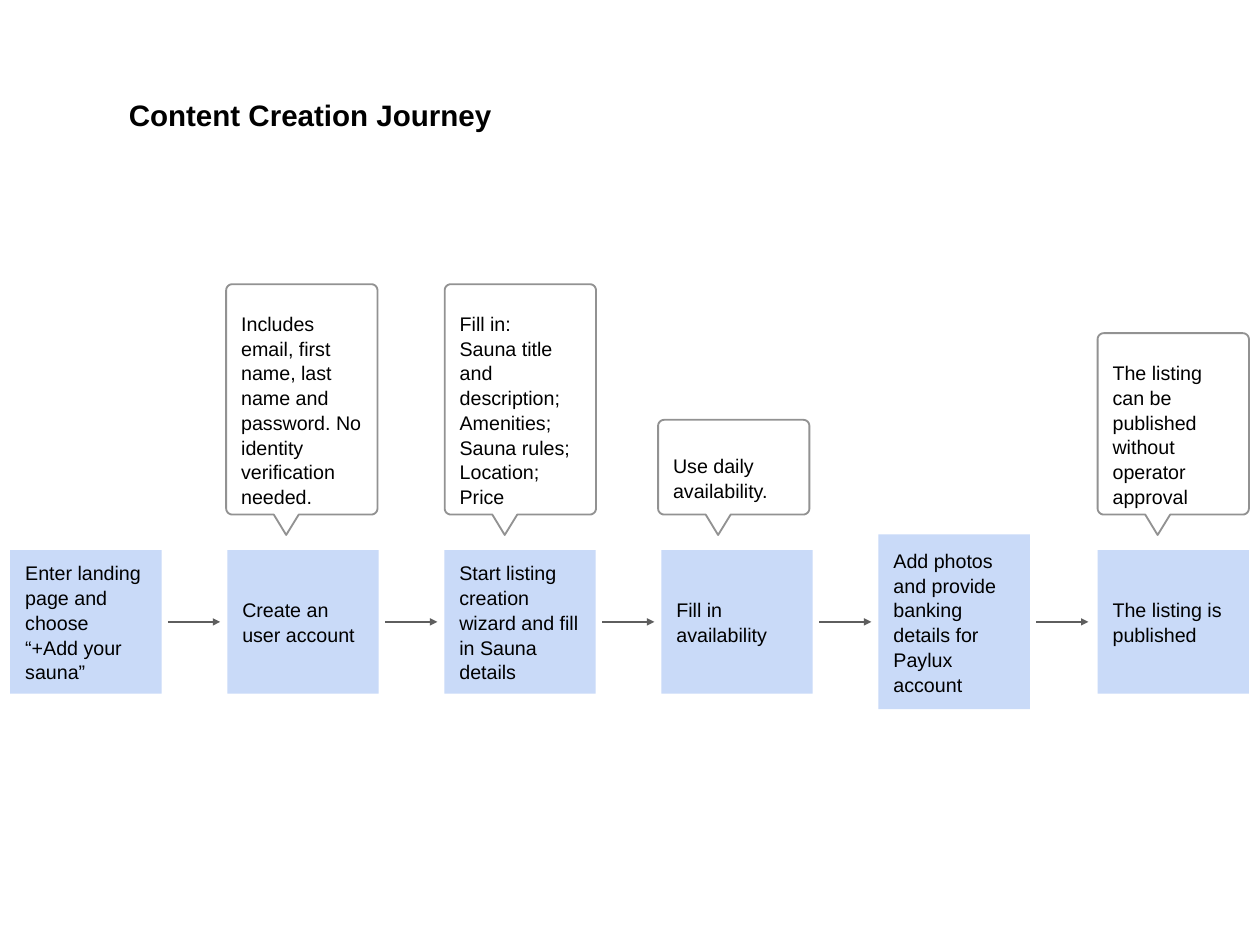
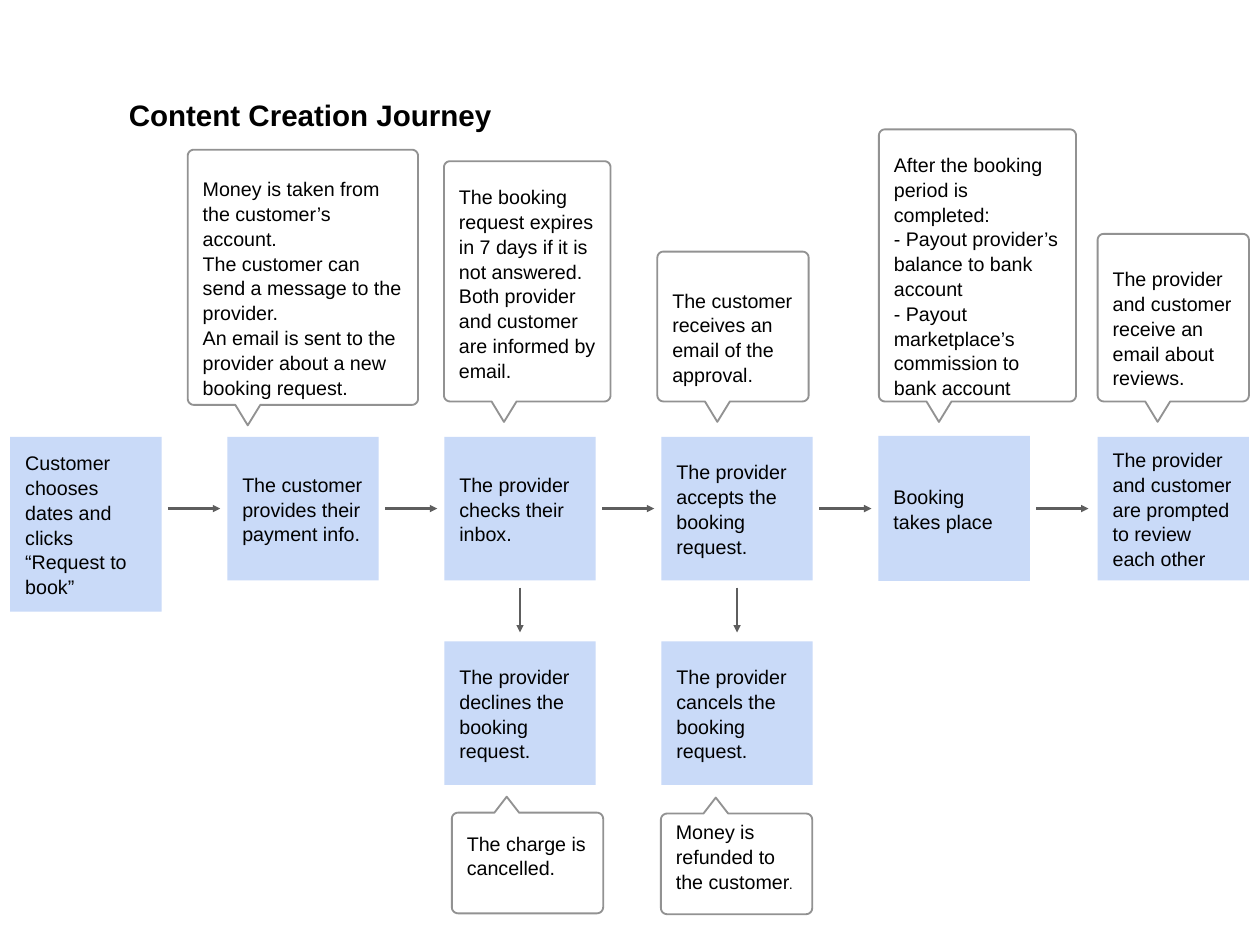
import math
from lxml import etree
from pptx import Presentation
from pptx.dml.color import RGBColor
from pptx.enum import shapes, text
from pptx.oxml import ns
from pptx.util import Pt

STEP_BLUE, NOTE_WHITE, NOTE_GREY, ARROW_GREY, INK = "C9DAF8", "FFFFFF", "929292", "5E5E5E", "000000"
BODY = {"name": "Arial", "size": Pt(16), "bold": False}
HEADING = {"name": "Arial", "size": Pt(24), "bold": True}
STEP_W, STEP_H, PITCH = 123, 116.6, 176.4
STEP_X = [8.3 + PITCH * i for i in range(5)] + [892]
ARROW_GAP, ARROW_LEN = 5.2, 42.5
RADIUS = 5
CORNER_TURN = [math.radians(15 * i) for i in range(7)]


def paint(fill, colour):
    fill.solid()
    fill.fore_color.rgb = RGBColor.from_string(colour)


def write(shape, words, font=BODY, align=text.PP_ALIGN.LEFT, inset=12.2, bottom=None, spacing=1.05):
    frame = shape.text_frame
    frame.text = words
    layout = {"word_wrap": True, "auto_size": text.MSO_AUTO_SIZE.NONE,
              "vertical_anchor": text.MSO_ANCHOR.MIDDLE,
              "margin_left": Pt(inset), "margin_right": Pt(inset),
              "margin_top": Pt(inset), "margin_bottom": Pt(bottom or inset)}
    for key, value in layout.items():
        setattr(frame, key, value)
    for paragraph in frame.paragraphs:
        paragraph.alignment = align
        paragraph.line_spacing = spacing
        for run in paragraph.runs:
            for key, value in font.items():
                setattr(run.font, key, value)
            paint(run.font.fill, INK)


listing_journey = {
    "middle": 505.4,
    "steps": [
        (STEP_X[0], 447.1, STEP_H, "Enter landing page and choose “+Add your sauna”"),
        (STEP_X[1], 447.1, STEP_H, "Create an user account"),
        (STEP_X[2], 447.1, STEP_H, "Start listing creation wizard and fill in Sauna details"),
        (STEP_X[3], 447.1, STEP_H, "Fill in availability"),
        (STEP_X[4], 434.3, 142, "Add photos and provide banking details for Paylux account"),
        (STEP_X[5], 447.1, STEP_H, "The listing is published"),
    ],
    "branches": [],
    "notes": [
        (183.8, 231, STEP_W, 187.2, "down", "Includes email, first name, last name and password. "
                                            "No identity verification needed."),
        (361.4, 231, STEP_W, 187.2, "down", "Fill in:\nSauna title and description; Amenities; "
                                            "Sauna rules;\nLocation;\nPrice"),
        (534.8, 341.2, STEP_W, 77, "down", "Use daily availability."),
        (892, 270.8, STEP_W, 147.4, "down", "The listing can be published without operator approval"),
    ],
}
booking_journey = {
    "middle": 413.3,
    "steps": [
        (STEP_X[0], 355, 142, "Customer chooses dates and clicks “Request to book”"),
        (STEP_X[1], 355, STEP_H, "The customer provides their payment info."),
        (STEP_X[2], 355, STEP_H, "The provider checks their inbox."),
        (STEP_X[3], 355, STEP_H, "The provider accepts the booking request."),
        (STEP_X[4], 354.2, 118, "Booking takes place"),
        (STEP_X[5], 355, STEP_H, "The provider and customer are prompted to review each other"),
        (STEP_X[2], 521.3, STEP_H, "The provider declines the booking request."),
        (STEP_X[3], 521.3, STEP_H, "The provider cancels the booking request."),
    ],
    "branches": [STEP_X[2], STEP_X[3]],
    "notes": [
        (152.6, 121.7, 187.2, 207.4, "down", "Money is taken from the customer’s account.\n"
         "The customer can send a message to the provider.\n"
         "An email is sent to the provider about a new booking request."),
        (360.8, 131, 135.4, 195.3, "down", "The booking request expires in 7 days if it is not answered. "
                                           "Both provider and customer are informed by email."),
        (534.2, 204.5, STEP_W, 121.8, "down", "The customer receives an email of the approval."),
        (714.3, 105.1, 160.2, 221.2, "down", "After the booking period is completed:\n"
         "- Payout provider’s balance to bank account\n"
         "- Payout marketplace’s commission to bank account"),
        (892, 190.1, STEP_W, 136.2, "down", "The provider and customer receive an email about reviews."),
        (367.2, 660.5, STEP_W, 81.8, "up", "The charge is cancelled."),
        (537.1, 661.2, STEP_W, 81.8, "up", "Money is refunded to the customer"),
    ],
}

deck = Presentation()
deck.slide_width, deck.slide_height = Pt(1024), Pt(768)

for journey in (listing_journey, booking_journey):
    slide = deck.slides.add_slide(deck.slide_layouts[5])
    heading = slide.shapes.title
    for side, length in {"left": 100, "top": 75, "width": 304, "height": 36}.items():
        setattr(heading, side, Pt(length))
    write(heading, "Content Creation Journey", HEADING, text.PP_ALIGN.CENTER, inset=4, spacing=1)

    for left, top, height, words in journey["steps"]:
        step = slide.shapes.add_shape(shapes.MSO_SHAPE.RECTANGLE, Pt(left), Pt(top), Pt(STEP_W), Pt(height))
        step.shadow.inherit = False
        paint(step.fill, STEP_BLUE)
        step.line.fill.background()
        write(step, words)

    arrow_starts = [STEP_X[0] + PITCH * i + STEP_W + ARROW_GAP for i in range(5)]
    arrow_ends = [(x, journey["middle"], x + ARROW_LEN, journey["middle"]) for x in arrow_starts]
    arrow_ends += [(x + STEP_W / 2, 477.5, x + STEP_W / 2, 514) for x in journey["branches"]]
    for ends in arrow_ends:
        arrow = slide.shapes.add_connector(shapes.MSO_CONNECTOR.STRAIGHT, *[Pt(v) for v in ends])
        arrow.line.width = Pt(2)
        paint(arrow.line.fill, ARROW_GREY)
        etree.SubElement(arrow.line._get_or_add_ln(), ns.qn("a:tailEnd"), type="triangle")
        etree.SubElement(arrow._element.spPr, ns.qn("a:effectLst"))

    for left, top, width, height, pointing, words in journey["notes"]:
        right, base = left + width, top + height
        corners = [(left + RADIUS, top + RADIUS, 180), (right - RADIUS, top + RADIUS, 270),
                   (right - RADIUS, base - RADIUS, 0), (left + RADIUS, base - RADIUS, 90)]
        arcs = [[(x + RADIUS * math.cos(math.radians(start) + turn),
                  y + RADIUS * math.sin(math.radians(start) + turn)) for turn in CORNER_TURN]
                for x, y, start in corners]
        if pointing == "down":
            arcs[2] += [(left + 59, base), (left + 48.8, base + 16.6), (left + 38.7, base)]
        else:
            arcs[0] += [(left + 34.6, top), (left + 44.6, top - 13), (left + 54.7, top)]
        outline = [(Pt(x), Pt(y)) for arc in arcs for x, y in arc]
        builder = slide.shapes.build_freeform(*outline[0])
        builder.add_line_segments(outline[1:], close=True)
        note = builder.convert_to_shape()
        note.shadow.inherit = False
        paint(note.fill, NOTE_WHITE)
        note.line.width = Pt(1.5)
        paint(note.line.fill, NOTE_GREY)
        write(note, words, bottom=26 if words.startswith("The booking request") else None)

full_stop = note.text_frame.paragraphs[0].add_run()
full_stop.text = "."
for key, value in {"name": "Cambria", "size": Pt(12)}.items():
    setattr(full_stop.font, key, value)
paint(full_stop.font.fill, INK)

deck.save("out.pptx")
